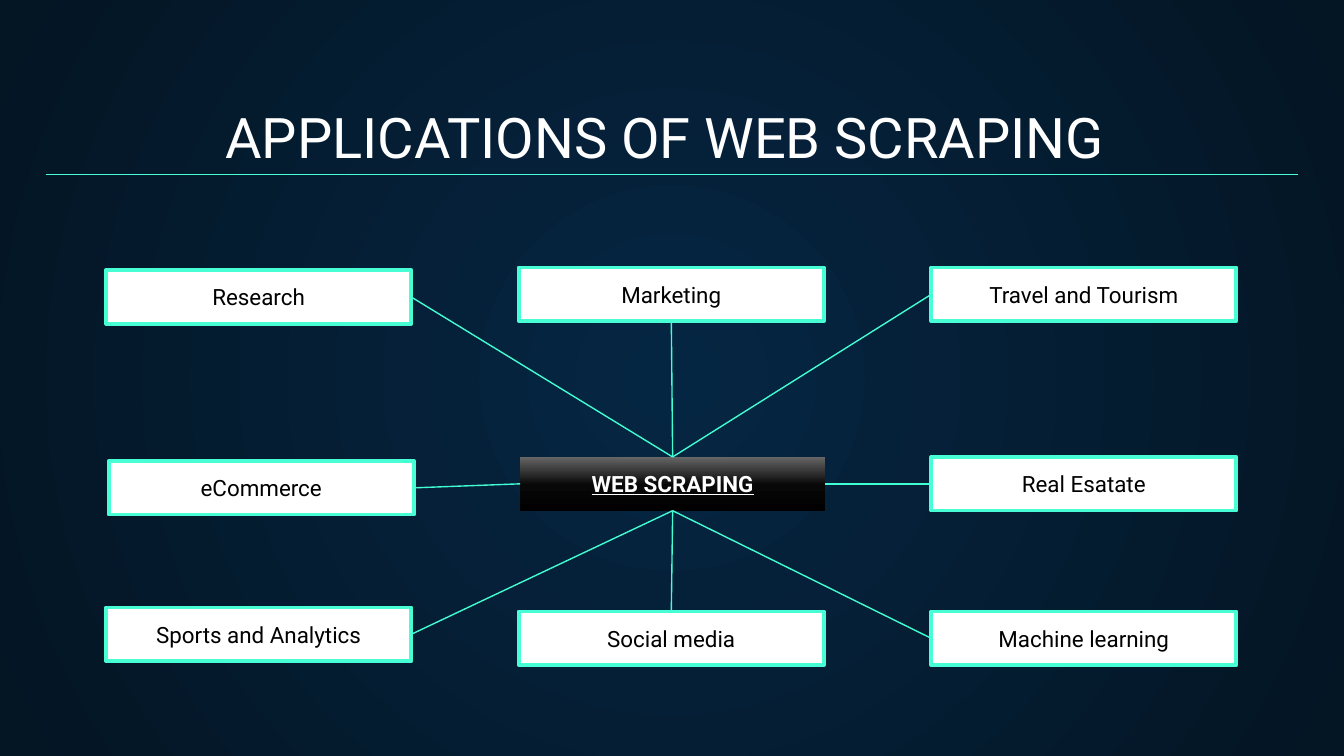
from lxml import etree
from pptx import Presentation
from pptx.dml.color import RGBColor
from pptx.enum.shapes import MSO_CONNECTOR, MSO_SHAPE
from pptx.enum.text import MSO_ANCHOR, PP_ALIGN
from pptx.oxml.ns import qn
from pptx.util import Inches, Pt

RECTANGLE = MSO_SHAPE.RECTANGLE
STRAIGHT = MSO_CONNECTOR.STRAIGHT
BOTTOM_ANCHOR = MSO_ANCHOR.BOTTOM
CENTER = PP_ALIGN.CENTER
TOP, LEFT, BOTTOM, RIGHT = range(4)

WIDTH, HEIGHT = 10, 5.625
MARGIN = 0.34
BOX_WIDTH, BOX_HEIGHT = 2.27, 0.4
COLUMN_STEP = 3.07
ROWS = (0, 1.41, 2.56)  # row tops within the diagram

BORDER, SPOKE = "48FFD5", "42FED3"
TITLE_FONT = {"name": "Roboto", "size": Pt(30)}
LABEL_FONT = {"name": "Roboto", "size": Pt(12)}
HUB_FONT = {**LABEL_FONT, "bold": True, "underline": True}

# label, column, row, nudge (x, y), side of the topic, side of the hub
TOPICS = (
    ("Research", 0, 0, (0, 0.02), RIGHT, TOP),
    ("Marketing", 1, 0, (0, 0), BOTTOM, TOP),
    ("Travel and Tourism", 2, 0, (0, 0), LEFT, TOP),
    ("eCommerce", 0, 1, (0.02, 0.03), RIGHT, LEFT),
    ("Real Esatate", 2, 1, (0, 0), LEFT, RIGHT),
    ("Sports and Analytics", 0, 2, (0, -0.03), RIGHT, BOTTOM),
    ("Social media", 1, 2, (0, 0), TOP, BOTTOM),
    ("Machine learning", 2, 2, (0, 0), LEFT, BOTTOM),
)


def color(value):
    return RGBColor.from_string(value)


def set_gradient(fill, owner, stops, direction, attributes):
    """Give the fill its stops; direction is the a:lin or a:path element."""
    fill.gradient()
    gradient = next(owner.iter(qn("a:gradFill")))
    for child in list(gradient):
        gradient.remove(child)
    stop_list = etree.SubElement(gradient, qn("a:gsLst"))
    for position, value in stops:
        stop = etree.SubElement(stop_list, qn("a:gs"), pos=str(position * 1000))
        etree.SubElement(stop, qn("a:srgbClr"), val=value)
    return etree.SubElement(gradient, qn(direction), **attributes)


def write_text(shape, text, font_format, font_color):
    frame = shape.text_frame
    inset = Inches(0.1)
    frame_format = {
        "word_wrap": True, "vertical_anchor": BOTTOM_ANCHOR,
        "margin_left": inset, "margin_right": inset,
        "margin_top": inset, "margin_bottom": inset,
    }
    for name, value in frame_format.items():
        setattr(frame, name, value)
    paragraph = frame.paragraphs[0]
    paragraph.alignment = CENTER
    run = paragraph.add_run()
    run.text = text
    for name, value in font_format.items():
        setattr(run.font, name, value)
    run.font.color.rgb = color(font_color)


def add_line(slide, start, end, line_color):
    points = [Inches(value) for value in (*start, *end)]
    connector = slide.shapes.add_connector(STRAIGHT, *points)
    connector.line.color.rgb = color(line_color)
    connector.line.width = Pt(0.75)
    properties = connector._element.find(qn("p:spPr"))
    etree.SubElement(properties, qn("a:effectLst"))
    return connector


def add_box(slide, left, top):
    box = slide.shapes.add_shape(
        RECTANGLE, *map(Inches, (left, top, BOX_WIDTH, BOX_HEIGHT)))
    box.shadow.inherit = False
    return box


def add_background(slide):
    path = set_gradient(slide.background.fill, slide.element,
                        ((0, "052643"), (100, "041523")),
                        "a:path", {"path": "circle"})
    etree.SubElement(path, qn("a:fillToRect"),
                     l="50000", t="50000", r="50000", b="50000")


def add_title(slide, left, top, width, height):
    title = slide.shapes.add_textbox(*map(Inches, (left, top, width, height)))
    write_text(title, "APPLICATIONS OF WEB SCRAPING ", TITLE_FONT, "FFFFFF")
    # Rule just above the lower edge of the title
    rule = top + height - 0.06
    add_line(slide, (left, rule), (left + width, rule), BORDER)


def add_hub(slide, left, top):
    hub = add_box(slide, left, top)
    set_gradient(hub.fill, hub._element,
                 ((0, "000000"), (48, "080808"), (100, "666666")),
                 "a:lin", {"ang": str(270 * 60000), "scaled": "0"})
    hub.line.fill.background()
    write_text(hub, "WEB SCRAPING", HUB_FONT, "FFFFFF")
    return hub


def add_topic(slide, label, left, top):
    topic = add_box(slide, left, top)
    topic.fill.solid()
    topic.fill.fore_color.rgb = color("FFFFFF")
    topic.line.color.rgb = color(BORDER)
    topic.line.width = Pt(2)
    write_text(topic, label, LABEL_FONT, "000000")
    return topic


def add_diagram(slide, left, top):
    hub = add_hub(slide, left + COLUMN_STEP + 0.01, top + ROWS[1])
    for label, column, row, (shift_x, shift_y), topic_side, hub_side in TOPICS:
        topic = add_topic(slide, label,
                          left + column * COLUMN_STEP + shift_x,
                          top + ROWS[row] + shift_y)
        # Spoke from the topic to the hub
        spoke = add_line(slide, (0, 0), (0, 0), SPOKE)
        spoke.begin_connect(topic, topic_side)
        spoke.end_connect(hub, hub_side)


def main():
    presentation = Presentation()
    presentation.slide_width = Inches(WIDTH)
    presentation.slide_height = Inches(HEIGHT)
    slide = presentation.slides.add_slide(presentation.slide_layouts[6])
    add_background(slide)
    add_title(slide, MARGIN, 0.7, WIDTH - 2 * MARGIN, 0.66)
    add_diagram(slide, 0.79, 1.99)
    presentation.save("out.pptx")


if __name__ == "__main__":
    main()
